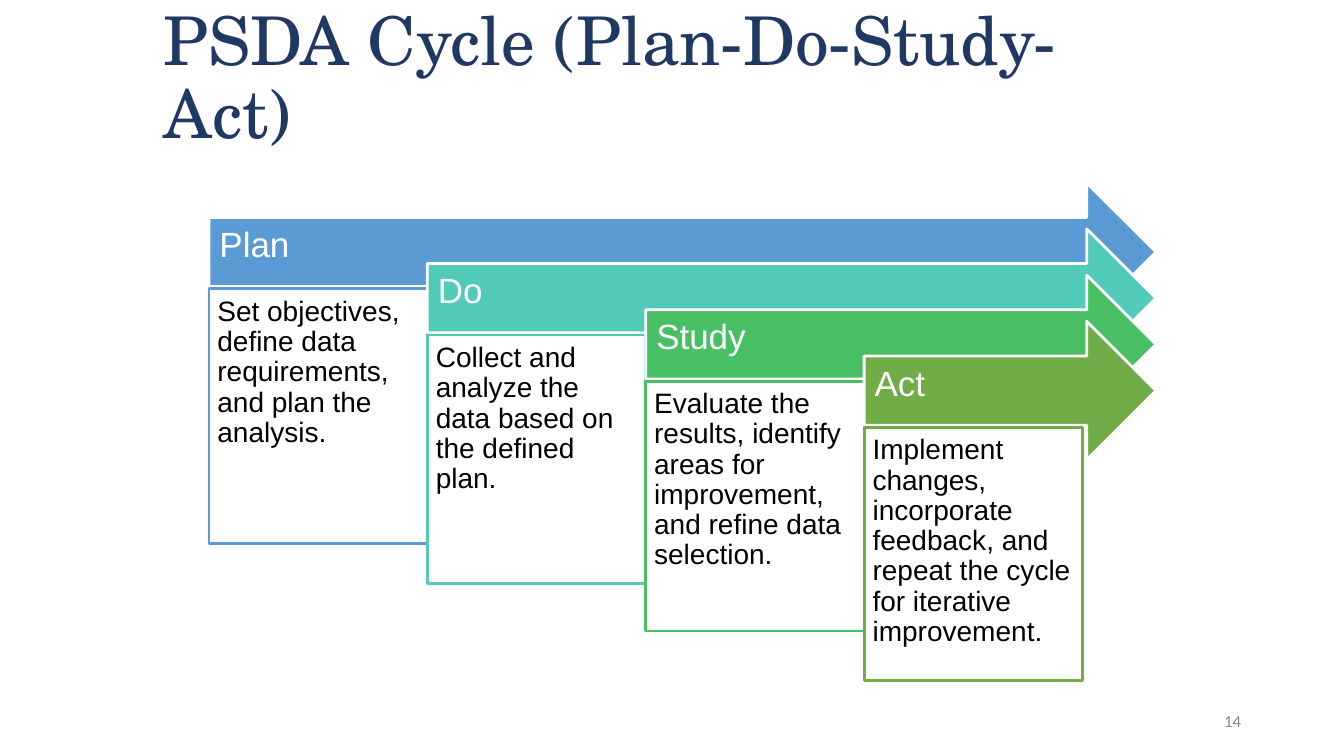
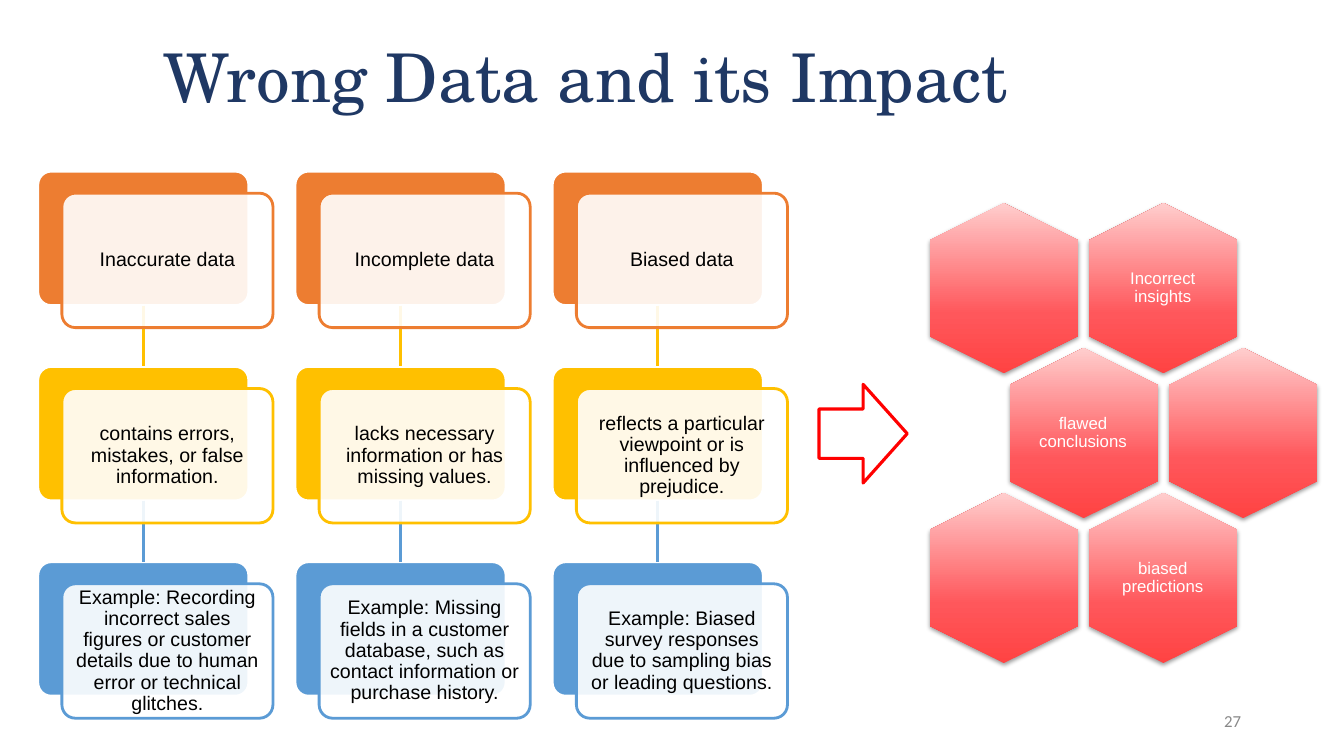
"""Build two slides: a plan-do-study-act staircase and the impact of wrong data."""
from dataclasses import dataclass

from lxml import etree
from pptx import Presentation
from pptx.dml.color import RGBColor
from pptx.enum.shapes import MSO_CONNECTOR, MSO_SHAPE
from pptx.enum.text import MSO_ANCHOR, PP_ALIGN
from pptx.oxml import parse_xml
from pptx.oxml.ns import nsdecls, qn
from pptx.util import Pt

EMU_PER_PX = 9525
STRAIGHT = MSO_CONNECTOR.STRAIGHT
RECTANGLE = MSO_SHAPE.RECTANGLE
ROUNDED = MSO_SHAPE.ROUNDED_RECTANGLE
ARROW = MSO_SHAPE.RIGHT_ARROW
HEXAGON = MSO_SHAPE.HEXAGON
TOP, MIDDLE = MSO_ANCHOR.TOP, MSO_ANCHOR.MIDDLE
LEFT, CENTER, RIGHT = PP_ALIGN.LEFT, PP_ALIGN.CENTER, PP_ALIGN.RIGHT
TOP_SITE, BOTTOM_SITE = 0, 2


@dataclass(frozen=True)
class Theme:
    title_font: str = "TeX Gyre Schola"
    body_font: str = "Arial"
    number_font: str = "Calibri"
    title_size: int = 48
    stage_size: int = 25
    detail_size: int = 20
    card_size: int = 14
    small_size: int = 12
    navy: str = "1F3864"
    gray: str = "888888"
    white: str = "FFFFFF"
    black: str = "000000"
    blue: str = "5B9BD5"
    teal: str = "52CAB8"
    green: str = "49BF64"
    olive: str = "70AD47"
    orange: str = "ED7D31"
    gold: str = "FFC000"
    red: str = "FF0000"
    red_fade: tuple = ((0, "FF4343"), (35, "FF575B"), (100, "FFCDCD"))


THEME = Theme()

STAGES = (
    ("Plan", THEME.blue, 243,
     "Set objectives, define data requirements, and plan the analysis."),
    ("Do", THEME.teal, 237,
     "Collect and analyze the data based on the defined plan."),
    ("Study", THEME.green, 238,
     "Evaluate the results, identify areas for improvement, and refine data selection."),
    ("Act", THEME.olive, 241,
     "Implement changes, incorporate feedback, and repeat the cycle for iterative improvement."),
)

PROBLEMS = (
    ("Inaccurate data",
     "contains errors, mistakes, or false information.",
     "Example: Recording incorrect sales figures or customer details due to human error "
     "or technical glitches."),
    ("Incomplete data",
     "lacks necessary information or has missing values.",
     "Example: Missing fields in a customer database, such as contact information or "
     "purchase history."),
    ("Biased data",
     "reflects a particular viewpoint or is influenced by prejudice.",
     "Example: Biased survey responses due to sampling bias or leading questions."),
)
LEVEL_COLORS = (THEME.orange, THEME.gold, THEME.blue)

IMPACTS = (
    (0, 2, "Incorrect insights"), (0, 0, ""),
    (1, 1, "flawed conclusions"), (1, 3, ""),
    (2, 2, "biased predictions"), (2, 0, ""),
)


def px(*lengths):
    return [length * EMU_PER_PX for length in lengths]


def write(frame, text, *, size, color, font=THEME.body_font, align=LEFT,
          anchor=MIDDLE, insets=(10, 5, 10, 5), spacing=0.9):
    frame.word_wrap = True
    frame.vertical_anchor = anchor
    (frame.margin_left, frame.margin_top,
     frame.margin_right, frame.margin_bottom) = px(*insets)
    paragraph = frame.paragraphs[0]
    paragraph.alignment = align
    paragraph.line_spacing = spacing
    run = paragraph.add_run()
    run.text = text
    run.font.name = font
    run.font.size = Pt(size)
    run.font.color.rgb = RGBColor.from_string(color)


class Deck:
    """Holds the theme and the slide being drawn."""

    def __init__(self, theme):
        self.theme = theme
        self.presentation = Presentation()
        self.presentation.slide_width, self.presentation.slide_height = px(1280, 720)
        self.slide = None

    def start_slide(self, title, number):
        layout = self.presentation.slide_layouts[6]
        self.slide = self.presentation.slides.add_slide(layout)
        self.label((146, 7, 976, 139), title, size=self.theme.title_size,
                   color=self.theme.navy, font=self.theme.title_font)
        self.label((904, 667, 288, 38), str(number), size=self.theme.small_size,
                   color=self.theme.gray, font=self.theme.number_font,
                   align=RIGHT, spacing=1.0)

    def label(self, box, text, **style):
        write(self.slide.shapes.add_textbox(*px(*box)).text_frame, text, **style)

    def block(self, preset, box, fill, line=None, weight=2, radius=None, opacity=None):
        shape = self.slide.shapes.add_shape(preset, *px(*box))
        shape.shadow.inherit = False
        shape.fill.solid()
        shape.fill.fore_color.rgb = RGBColor.from_string(fill)
        if opacity is not None:
            tint = shape.element.spPr.xpath("a:solidFill/a:srgbClr")[0]
            etree.SubElement(tint, qn("a:alpha"), val=str(opacity * 1000))
        if radius is not None:
            shape.adjustments[0] = radius
        if line is None:
            shape.line.fill.background()
        else:
            shape.line.color.rgb = RGBColor.from_string(line)
            shape.line.width = Pt(weight)
        return shape

    def link(self, upper, lower, color):
        connector = self.slide.shapes.add_connector(STRAIGHT, 0, 0, 0, 0)
        connector.begin_connect(upper, BOTTOM_SITE)
        connector.end_connect(lower, TOP_SITE)
        connector.line.color.rgb = RGBColor.from_string(color)
        connector.line.width = Pt(2)
        etree.SubElement(connector.element.spPr, qn("a:effectLst"))

    def hexagon(self, left, top, text):
        width, height, text_width, text_height = 162, 141, 97, 111
        cell = self.block(HEXAGON, (left, top, width, height), self.theme.white)
        cell.rotation = 90
        properties = cell.element.spPr
        stops = "".join(
            f'<a:gs pos="{place * 1000}"><a:srgbClr val="{color}"/></a:gs>'
            for place, color in self.theme.red_fade)
        solid = properties.find(qn("a:solidFill"))
        properties.replace(solid, parse_xml(
            f'<a:gradFill {nsdecls("a")} rotWithShape="0"><a:gsLst>{stops}</a:gsLst>'
            '<a:lin ang="16200000" scaled="0"/></a:gradFill>'))
        properties.find(qn("a:effectLst")).append(parse_xml(
            f'<a:outerShdw {nsdecls("a")} blurRad="40000" dist="20000" dir="5400000" '
            f'rotWithShape="0"><a:srgbClr val="{self.theme.black}">'
            '<a:alpha val="38000"/></a:srgbClr></a:outerShdw>'))
        if text:
            self.label((left + (width - text_width) // 2, top + (height - text_height) // 2,
                        text_width, text_height), text, size=self.theme.small_size,
                       color=self.theme.white, align=CENTER, insets=(5, 5, 5, 5))


def draw_cycle(deck):
    theme = deck.theme
    deck.start_slide("PSDA Cycle (Plan-Do-Study-Act)", 14)
    arrow_tip, step = 1101, 208
    for index, (stage, color, height, detail) in enumerate(STAGES):
        left, top = 199 + index * step, 174 + index * 44
        arrow = deck.block(ARROW, (left, top, arrow_tip - left, 132), color, theme.white)
        write(arrow.text_frame, stage, size=theme.stage_size, color=theme.white,
              insets=(10, 10, 27, 21))
        card = deck.block(RECTANGLE, (left, top + 101, step, height), theme.white, color)
        write(card.text_frame, detail, size=theme.detail_size, color=theme.black,
              anchor=TOP, insets=(8, 8, 8, 8))


def draw_problem(deck, left, texts):
    theme = deck.theme
    width, height = 201, 128
    tops = [163 + level * 186 for level in range(len(texts))]
    backs = [deck.block(ROUNDED, (left, top, width, height), color, theme.white, radius=0.1)
             for top, color in zip(tops, LEVEL_COLORS)]
    for upper, lower, color in zip(backs, backs[1:], LEVEL_COLORS[1:]):
        deck.link(upper, lower, color)
    for top, color, text in zip(tops, LEVEL_COLORS, texts):
        front = deck.block(ROUNDED, (left + 23, top + 21, width, height), theme.white,
                           color, radius=0.1, opacity=90)
        write(front.text_frame, text, size=theme.card_size, color=theme.black,
              align=CENTER, insets=(6, 6, 6, 6))


def draw_impact(deck):
    theme = deck.theme
    deck.start_slide("Wrong Data and its Impact", 27)
    for column, texts in enumerate(PROBLEMS):
        draw_problem(deck, 36 + column * 245, texts)
    deck.block(ARROW, (780, 366, 84, 94), theme.white, theme.red, weight=2.25)
    for row, half_column, text in IMPACTS:
        deck.hexagon(875 + half_column * 76, 204 + row * 138, text)


def main():
    deck = Deck(THEME)
    draw_cycle(deck)
    draw_impact(deck)
    deck.presentation.save("out.pptx")


if __name__ == "__main__":
    main()
